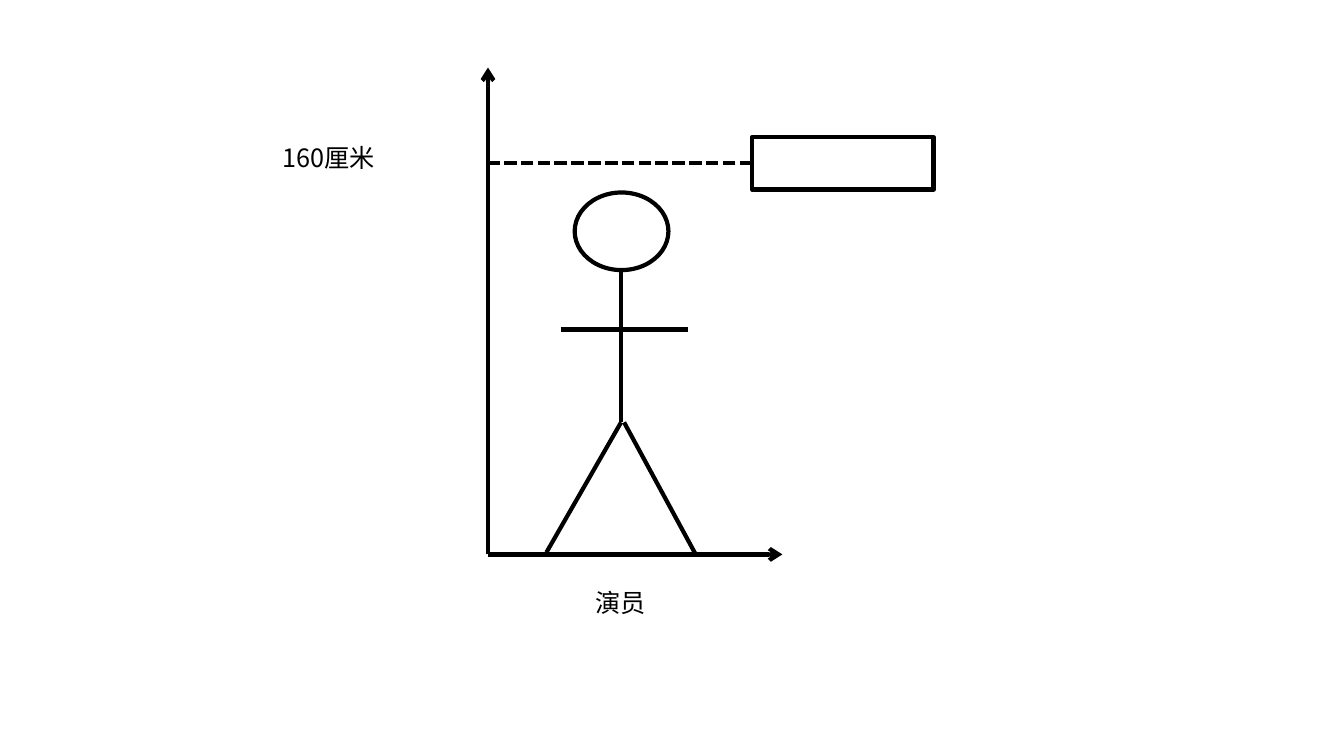
from lxml.etree import SubElement
from pptx import Presentation
from pptx.dml.color import RGBColor
from pptx.enum.dml import MSO_LINE
from pptx.enum.shapes import MSO_CONNECTOR, MSO_SHAPE
from pptx.enum.text import MSO_AUTO_SIZE, PP_ALIGN
from pptx.oxml.ns import qn
from pptx.util import Inches, Pt

BLACK = RGBColor(0, 0, 0)
FONT = "Noto Sans CJK JP"

ORIGIN = (4.84, 5.5)
NECK = (6.16, 2.68)
HIP = (6.16, 4.19)
AXIS_ENDS = [(7.76, 5.5), (4.84, 0.67)]
BODY = [
    (NECK, HIP),
    ((5.56, 3.27), (6.82, 3.27)),
    (HIP, (5.42, 5.48)),
    ((6.19, 4.19), (6.9, 5.5)),
]
HEAD = (5.7, 1.91, 0.93, 0.77)
SIGN = (7.46, 1.36, 1.8, 0.52)
LABELS = [
    ("160厘米", (2.7, 1.36, 1.97, 0.4), PP_ALIGN.LEFT),
    ("演员", (5.17, 5.78, 1.97, 0.4), PP_ALIGN.CENTER),
]


def add_line(start, end, arrow=False, dash=None):
    c = s.shapes.add_connector(
        MSO_CONNECTOR.STRAIGHT, *[Inches(v) for v in start + end])
    c.line.color.rgb = BLACK
    c.line.width = Pt(3)
    if dash:
        c.line.dash_style = dash
    if arrow:
        SubElement(c.line._get_or_add_ln(), qn("a:tailEnd"), type="arrow")
    SubElement(c._element.spPr, qn("a:effectLst"))


def add_outline(kind, box):
    sp = s.shapes.add_shape(kind, *[Inches(v) for v in box])
    sp.shadow.inherit = False
    sp.fill.background()
    sp.line.color.rgb = BLACK
    sp.line.width = Pt(3)


def add_text(text, box, align=PP_ALIGN.LEFT, size=18, color=BLACK):
    tf = s.shapes.add_textbox(*[Inches(v) for v in box]).text_frame
    tf.word_wrap = True
    tf.auto_size = MSO_AUTO_SIZE.SHAPE_TO_FIT_TEXT
    p = tf.paragraphs[0]
    p.alignment = align
    r = p.add_run()
    r.text = text
    r.font.size = Pt(size)
    r.font.color.rgb = color
    r.font.name = FONT
    SubElement(r.font._element, qn("a:ea"), typeface=FONT)


prs = Presentation()
prs.slide_width, prs.slide_height = Inches(13.33), Inches(7.5)
s = prs.slides.add_slide(prs.slide_layouts[6])

for end in AXIS_ENDS:
    add_line(ORIGIN, end, arrow=True)
add_outline(MSO_SHAPE.OVAL, HEAD)
for start, end in BODY:
    add_line(start, end)
add_outline(MSO_SHAPE.RECTANGLE, SIGN)
sign_middle = SIGN[1] + SIGN[3] / 2
add_line((SIGN[0], sign_middle), (ORIGIN[0], sign_middle),
         dash=MSO_LINE.SQUARE_DOT)
for text, box, align in LABELS:
    add_text(text, box, align=align)

prs.save("out.pptx")
